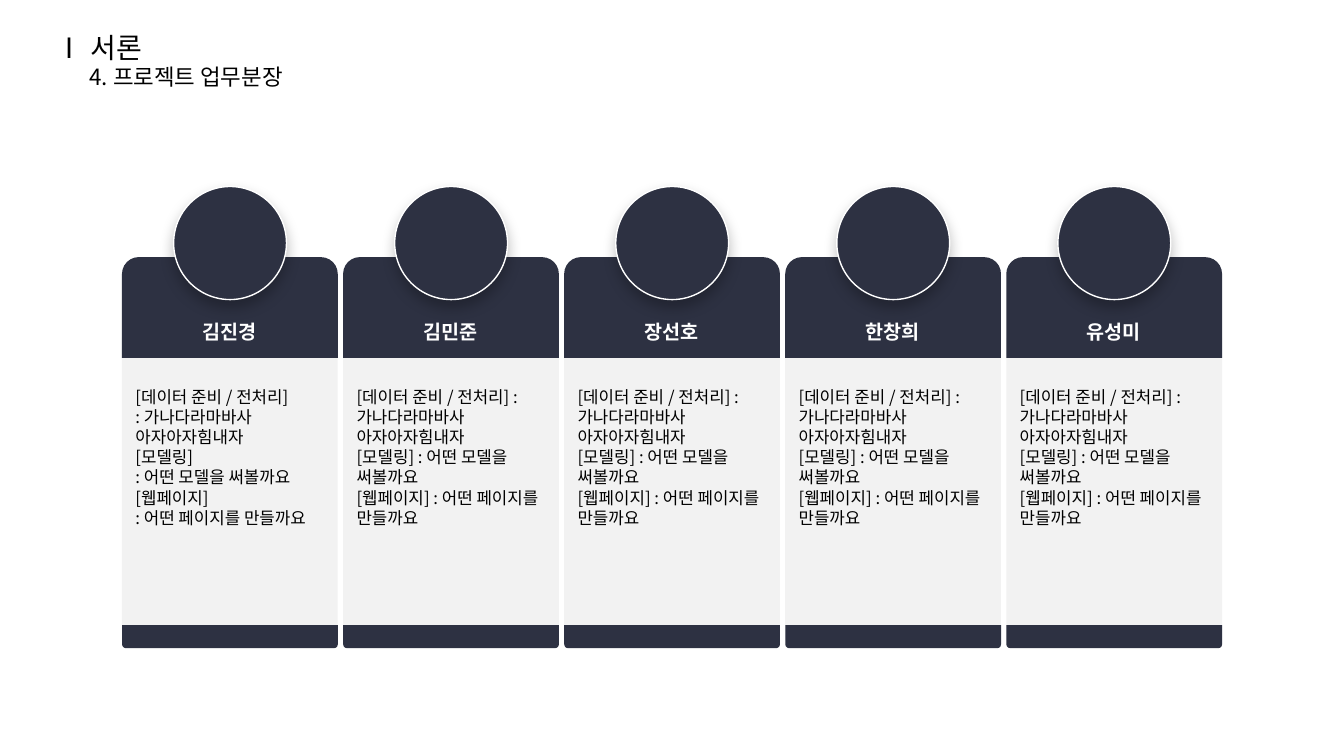
import collections
import dataclasses

import lxml.etree
import pptx
import pptx.dml.color
import pptx.enum.shapes
import pptx.enum.text
import pptx.oxml
import pptx.oxml.ns
import pptx.util

Shape = pptx.enum.shapes.MSO_SHAPE
Align = pptx.enum.text.PP_ALIGN
Inch = pptx.util.Inches


@dataclasses.dataclass(frozen=True)
class Theme:
    """Colours, font and type sizes."""
    font: str = "Noto Sans CJK KR"
    navy: str = "2D3142"
    grey: str = "F2F2F2"
    white: str = "FFFFFF"
    black: str = "000000"
    title: int = 20
    topic: int = 16
    name: int = 14
    body: int = 12


THEME = Theme()

TASKS = [
    "[데이터 준비 / 전처리] : 가나다라마바사 아자아자힘내자",
    "[모델링] : 어떤 모델을 써볼까요",
    "[웹페이지] : 어떤 페이지를 만들까요",
]
SPLIT = [line for task in TASKS for line in task.replace("] :", "]\n:").split("\n")]
TEAM = [("김진경", SPLIT)] + [(name, TASKS) for name in ("김민준", "장선호", "한창희", "유성미")]

SHADOW = (
    '<a:effectLst xmlns:a="http://schemas.openxmlformats.org/drawingml/2006/main">'
    '<a:outerShdw blurRad="127000" dist="63500" dir="5400000" algn="t" rotWithShape="0">'
    '<a:srgbClr val="000000"><a:alpha val="25000"/></a:srgbClr>'
    '</a:outerShdw></a:effectLst>'
)


class Box(collections.namedtuple("Box", "left top width height")):
    """A rectangle in inches."""

    def inner(self, x, y, w, h):
        """Return an inner box given in percent of this one."""
        return Box(self.left + self.width * x / 100, self.top + self.height * y / 100,
                   self.width * w / 100, self.height * h / 100)

    def cols(self, count, gap):
        """Split into equal columns with a gap in percent of the width."""
        wide = (100 - gap * (count - 1)) / count
        return [self.inner(i * (wide + gap), 0, wide, 100) for i in range(count)]

    def emu(self):
        """Return the four lengths for a shape call."""
        return [Inch(value) for value in self]


def rgb(code):
    """Turn a hex code into a colour."""
    return pptx.dml.color.RGBColor.from_string(code)


def write(shape, lines, size, color=THEME.black, bold=False, align=Align.LEFT, inset=0, wrap=True):
    """Fill a shape with formatted paragraphs."""
    frame = shape.text_frame
    frame.auto_size = pptx.enum.text.MSO_AUTO_SIZE.NONE
    frame.word_wrap = wrap
    frame.vertical_anchor = pptx.enum.text.MSO_ANCHOR.MIDDLE
    frame.margin_left = Inch(inset)
    frame.margin_right = frame.margin_top = frame.margin_bottom = 0
    frame.text = "\n".join(lines)
    for para in frame.paragraphs:
        para.alignment = align
        para.space_before = pptx.util.Pt(0)
        font = para.font
        font.size, font.bold = pptx.util.Pt(size), bold
        font.color.rgb = rgb(color)
        font.name = THEME.font
        props = para._p.pPr.find(pptx.oxml.ns.qn("a:defRPr"))
        lxml.etree.SubElement(props, pptx.oxml.ns.qn("a:ea"), typeface=THEME.font)


def label(slide, box, lines, size, **style):
    """Add a text box."""
    write(slide.shapes.add_textbox(*box.emu()), lines, size, **style)


def block(slide, kind, box, color):
    """Add a plain filled shape."""
    shape = slide.shapes.add_shape(kind, *box.emu())
    shape.shadow.inherit = False
    shape.fill.solid()
    shape.fill.fore_color.rgb = rgb(color)
    shape.line.fill.background()
    return shape


def header(slide, box):
    """Place the chapter number, title and topic."""
    style = {"inset": 0.1, "wrap": False}
    title = slide.shapes.title
    title.left, title.top, title.width, title.height = box.inner(14.3, 0, 25.4, 56.9).emu()
    write(title, ["서론"], THEME.title, **style)
    label(slide, box.inner(0, 0, 16.4, 56.9), ["Ⅰ"], THEME.title, **style)
    label(slide, box.inner(13.9, 56.9, 86.1, 43.1), ["4. 프로젝트 업무분장"], THEME.topic, **style)


def disc(slide, box):
    """Place the raised portrait circle."""
    shape = block(slide, Shape.OVAL, box, THEME.navy)
    shape.line.color.rgb = rgb(THEME.white)
    shape.line.width = pptx.util.Pt(1)
    props = shape._element.spPr
    props.replace(props.find(pptx.oxml.ns.qn("a:effectLst")), pptx.oxml.parse_xml(SHADOW))


def card(slide, box, name, tasks):
    """Place one team member's card."""
    block(slide, Shape.RECTANGLE, box.inner(0, 32.8, 100, 65.5), THEME.grey)
    block(slide, Shape.ROUND_2_SAME_RECTANGLE, box.inner(0, 15.3, 100, 21.8), THEME.navy)
    disc(slide, box.inner(23.9, 0, 52.3, 24.5))
    foot = block(slide, Shape.ROUND_2_SAME_RECTANGLE, box.inner(0, 95, 100, 5), THEME.navy)
    foot.rotation = 180
    tall = 30.8 if len(tasks) > len(TASKS) else 26.4
    label(slide, box.inner(6.2, 58.6 - tall / 2, 84.6, tall), tasks, THEME.body)
    label(slide, box.inner(3.4, 28.8, 93, 5.2), [name], THEME.name,
          color=THEME.white, bold=True, align=Align.CENTER)


def team(slide, box):
    """Place the row of cards."""
    for cell, member in zip(box.cols(len(TEAM), 0.48), TEAM):
        card(slide, cell, *member)


def main():
    """Build and save the deck."""
    deck = pptx.Presentation()
    page = Box(0, 0, 13.33, 7.5)
    deck.slide_width, deck.slide_height = page.emu()[2:]
    slide = deck.slides.add_slide(deck.slide_layouts[5])
    header(slide, page.inner(3.38, 4, 18.3, 7.73))
    team(slide, page.inner(9.08, 24.67, 81.85, 61.07))
    deck.save("out.pptx")


if __name__ == "__main__":
    main()
